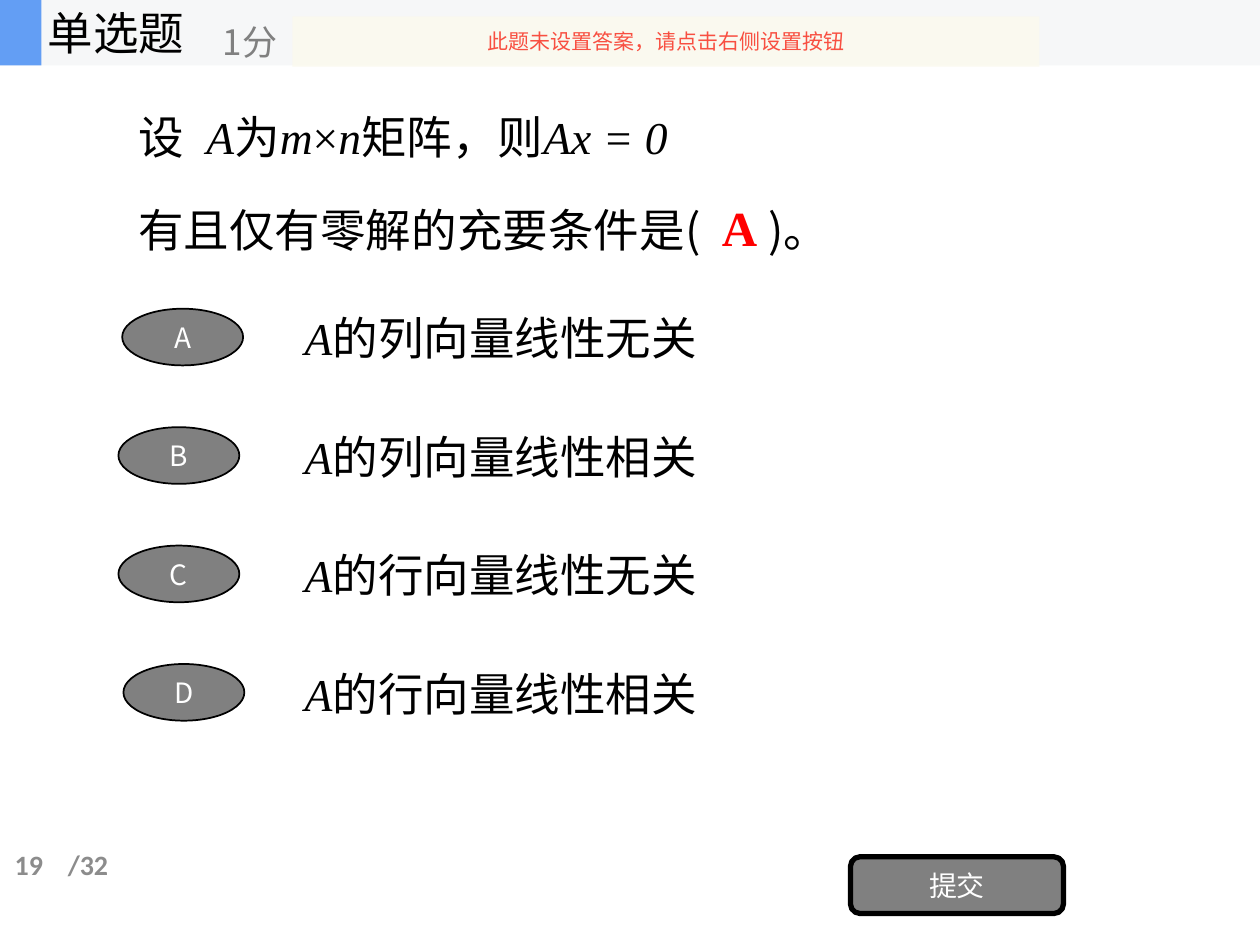
from lxml.etree import SubElement
from pptx import Presentation
from pptx.dml.color import RGBColor
from pptx.enum.shapes import MSO_SHAPE as Kind
from pptx.enum.text import MSO_ANCHOR as Anchor, PP_ALIGN as Align
from pptx.oxml.ns import qn
from pptx.util import Inches, Pt

CJK, SERIF, SANS, LATIN = "Noto Sans CJK SC", "Times New Roman", "Calibri", "Arial"
BLACK, WHITE, GRAY, PALE = "000000", "FFFFFF", "808080", "8C8C8C"

# Runs are (text, font, style), where style holds "b" or "i".
LEAD = [("设", CJK, "")]
CLAIM = [("A", SERIF, "i"), ("为", CJK, ""), ("m", SERIF, "i"), ("×", SERIF, ""),
         ("n", SERIF, "i"), ("矩阵", SERIF, ""), ("，则", LATIN, ""), ("Ax = 0", SERIF, "i")]
ASK = [("有且仅有零解的充要条件是(\t)。", CJK, "")]
ANSWER = [("A", SERIF, "b")]
BLANK_END = 5  # tab stop of the closing bracket

# (letter, oval left, option text)
OPTIONS = [
    ("A", 0.97, "的列向量线性无关"),
    ("B", 0.94, "的列向量线性相关"),
    ("C", 0.94, "的行向量线性无关"),
    ("D", 0.98, "的行向量线性相关"),
]
FIRST, STEP = 2.41, 0.94

# (left, top, width, height, fill)
BARS = [(0, 0, 10, 0.52, "F6F7F8"), (0, 0, 0.33, 0.52, "639EF4")]


def color(code):
    return RGBColor.from_string(code)


def write(shape, runs, size, ink, align=Align.LEFT, anchor=Anchor.MIDDLE):
    frame = shape.text_frame
    frame.word_wrap = True
    frame.vertical_anchor = anchor
    para = frame.paragraphs[0]
    para.alignment = align
    for text, face, style in runs:
        run = para.add_run()
        run.text = text
        font = run.font
        font.size, font.name = Pt(size), face
        font.bold, font.italic = "b" in style, "i" in style
        font.color.rgb = color(ink)
        SubElement(font._element, qn("a:ea")).set("typeface", CJK)
    return para


def label(slide, box, runs, size=26, ink=BLACK, **layout):
    shape = slide.shapes.add_textbox(*map(Inches, box))
    return write(shape, runs, size, ink, **layout)


def block(slide, kind, box, fill, line=0):
    """Add a filled shape; line is the outline width in points, 0 for none."""
    shape = slide.shapes.add_shape(kind, *map(Inches, box))
    shape.shadow.inherit = False
    shape.fill.solid()
    shape.fill.fore_color.rgb = color(fill)
    if line:
        shape.line.color.rgb = color(BLACK)
        shape.line.width = Pt(line)
    else:
        shape.line.fill.background()
    return shape


def button(slide, kind, box, text, line):
    shape = block(slide, kind, box, GRAY, line)
    write(shape, [(text, CJK, "")], 16, WHITE, Align.CENTER)


def question(slide):
    label(slide, (1, 0.81, 1.72, 0.54), LEAD)
    label(slide, (1.54, 0.81, 5.2, 0.54), CLAIM)
    para = label(slide, (1, 1.55, 7.25, 0.54), ASK)
    tabs = SubElement(para._p.get_or_add_pPr(), qn("a:tabLst"))
    SubElement(tabs, qn("a:tab"), pos=str(Inches(BLANK_END)), algn="l")
    label(slide, (5.63, 1.52, 0.71, 0.57), ANSWER, 28, "FF0000", anchor=Anchor.TOP)


def options(slide):
    for i, (letter, left, text) in enumerate(OPTIONS):
        top = FIRST + i * STEP
        label(slide, (2.32, top, 5.11, 0.54), [("A", SERIF, "i"), (text, CJK, "")])
        button(slide, Kind.OVAL, (left, top + 0.04, 0.96, 0.45), letter, 1)


def header(slide):
    for *box, fill in BARS:
        block(slide, Kind.RECTANGLE, box, fill)
    label(slide, (0.28, 0, 3.33, 0.52), [("单选题", CJK, "")])
    label(slide, (1.67, 0.12, 4, 0.42), [("1分", CJK, "")], 20, GRAY)
    note = block(slide, Kind.RECTANGLE, (2.32, 0.13, 5.93, 0.4), "FBFAEF")
    tint = note._element.spPr.find(qn("a:solidFill"))[0]
    SubElement(tint, qn("a:alpha")).set("val", "90000")
    write(note, [("此题未设置答案，请点击右侧设置按钮", CJK, "")], 12, "F84F41", Align.CENTER)


def footer(slide):
    button(slide, Kind.ROUNDED_RECTANGLE, (6.75, 6.8, 1.69, 0.45), "提交", 3)
    label(slide, (0.44, 6.66, 0.72, 0.4), [("/32", SANS, "b")], 16, PALE)
    label(slide, (-0.2, 6.66, 0.64, 0.4), [("19", SANS, "b")], 16, PALE, align=Align.RIGHT)


def main():
    deck = Presentation()
    deck.slide_width, deck.slide_height = Inches(10), Inches(7.5)
    slide = deck.slides.add_slide(deck.slide_layouts[6])
    for part in (question, options, footer, header):
        part(slide)
    deck.save("out.pptx")


if __name__ == "__main__":
    main()
